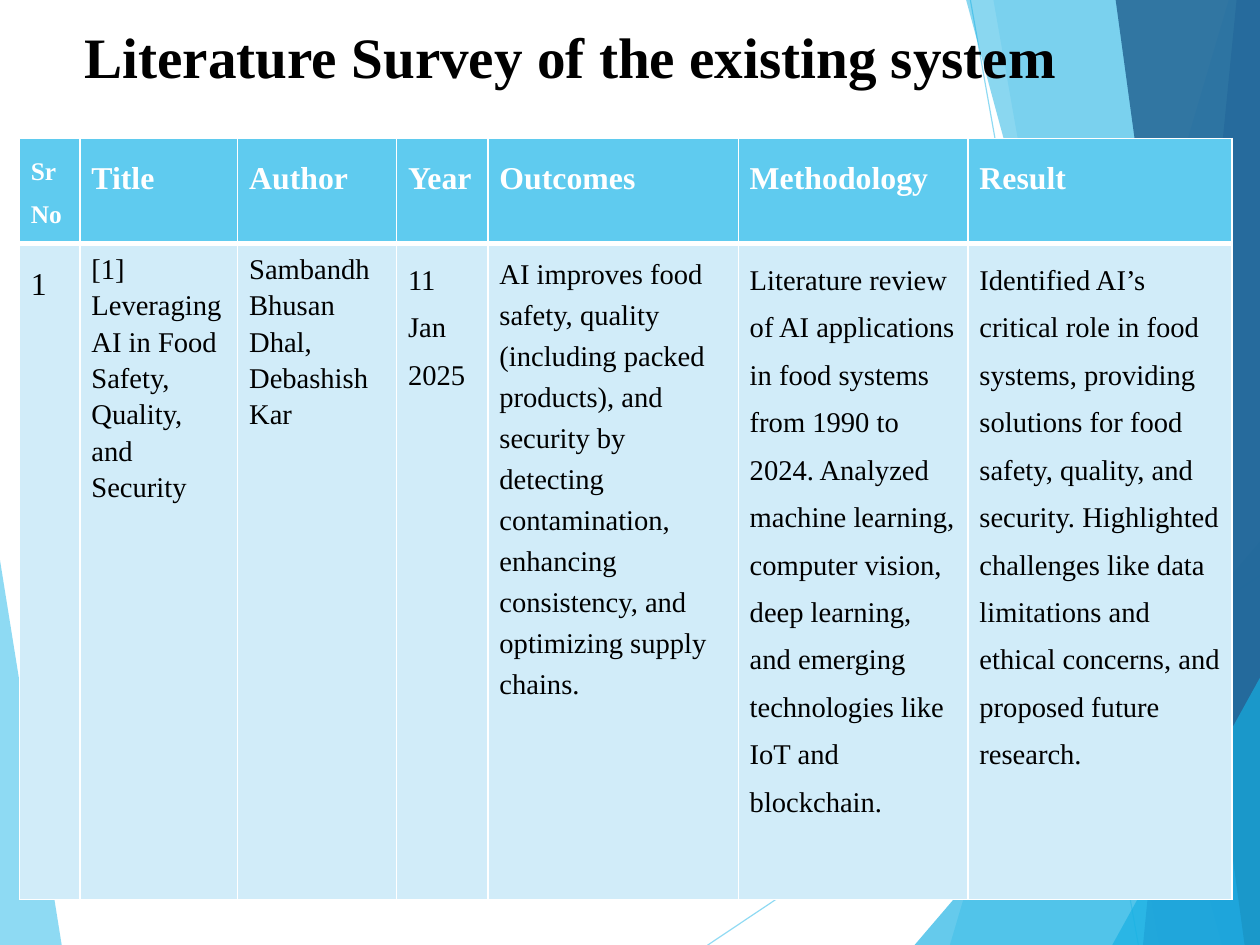
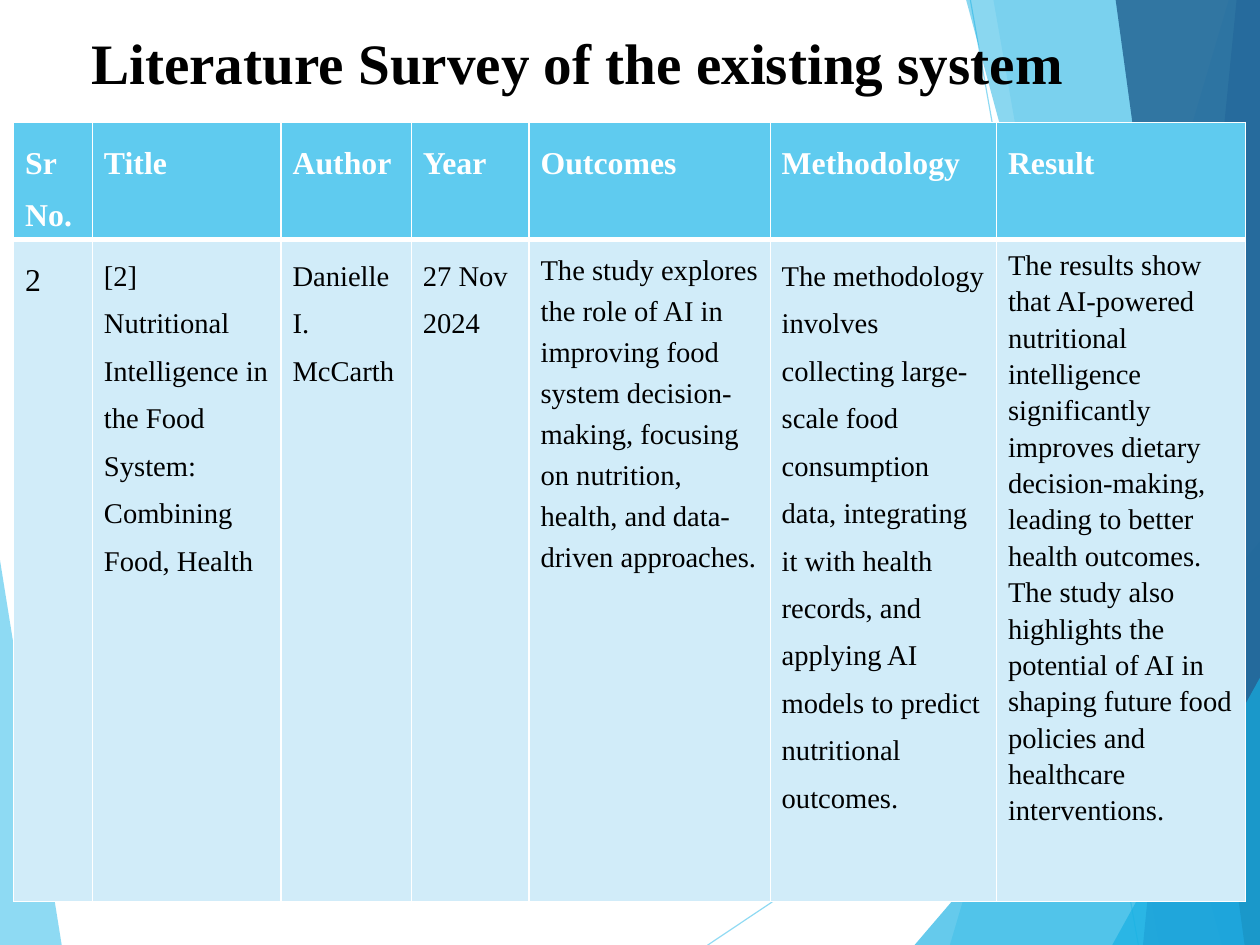
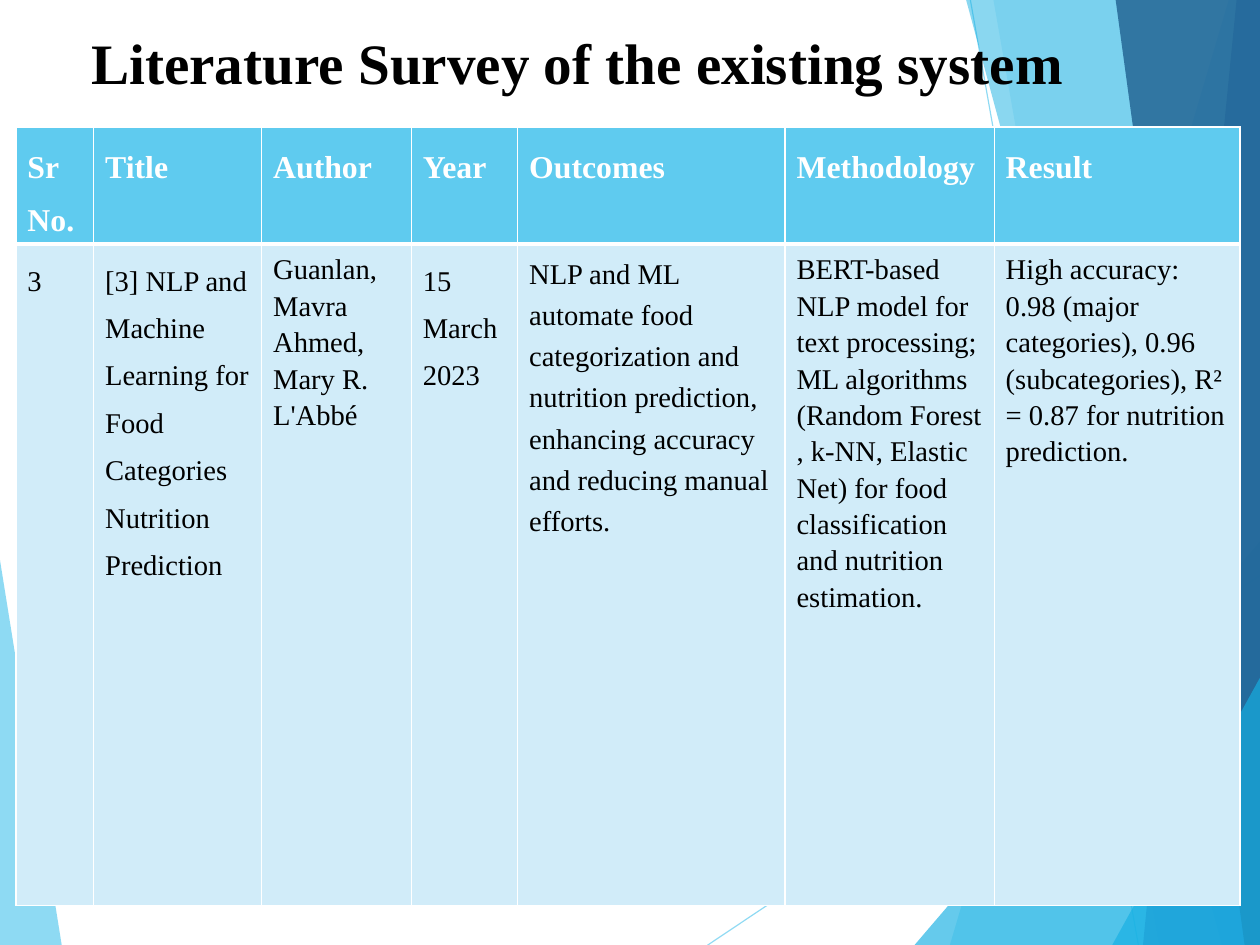
from lxml import etree
from pptx import Presentation
from pptx.dml.color import RGBColor
from pptx.enum import shapes, text
from pptx.oxml.ns import qn
from pptx.util import Inches, Pt

FONT = "Times New Roman"
BLACK, WHITE = "000000", "FFFFFF"
SKY, PALE_SKY, CYAN, BLUE, NAVY = "5FCBEF", "D1ECF9", "16B0E3", "2E83C3", "226292"
WIDTH, HEIGHT = 28 / 2.54, 21 / 2.54  # 28 by 21 cm
LEFT, RIGHT, TOP, BOTTOM = -0.01, 11.03, -0.01, 8.27  # backdrop bleeds past the edges

HEADING = "Literature Survey of the existing system"
COLUMNS = ["Title", "Author", "Year", "Outcomes", "Methodology", "Result"]

# Facets of the backdrop: colour, opacity in percent, corners
FACETS = [
    (SKY, 70, [(LEFT, 4.84), (0.54, BOTTOM), (LEFT, BOTTOM)]),
    (SKY, 36, [(10.75, 0), (8.31, BOTTOM), (RIGHT, BOTTOM), (RIGHT, 0)]),
    (SKY, 20, [(8.69, TOP), (10.14, BOTTOM), (RIGHT, BOTTOM), (RIGHT, TOP)]),
    (CYAN, 66, [(8, BOTTOM), (RIGHT, 4.73), (RIGHT, BOTTOM)]),
    (CYAN, 50, [(8.45, TOP), (10.69, BOTTOM), (RIGHT, BOTTOM), (RIGHT, TOP)]),
    (BLUE, 70, [(10.82, TOP), (10, BOTTOM), (RIGHT, BOTTOM), (RIGHT, TOP)]),
    (NAVY, 82, [(9.76, TOP), (10.89, BOTTOM), (RIGHT, BOTTOM), (RIGHT, TOP)]),
    (CYAN, 66, [(9.73, BOTTOM), (11.04, 5.9), (11.04, BOTTOM)]),
]
RAYS = [((6.19, BOTTOM), (RIGHT, 5.03)), ((8.49, 0), (9.96, BOTTOM))]

# Each paper's entries are pairs of text and line spacing
SURVEYS = [
    {
        "title_box": (0.49, 0, 9.92, 1.01),
        "table_at": (0.17, 1.21),
        "widths": [0.53, 1.38, 1.39, 0.8, 2.19, 2.01, 2.31],
        "heights": [0.92, 5.74],
        "number_label": ("Sr\nNo", 16),
        "number": ("1", 20),
        "paper": [
            ("[1] Leveraging AI in Food Safety, Quality, and Security", 1.15),
            ("Sambandh Bhusan Dhal, Debashish Kar", 1.15),
            ("11 Jan 2025", 1.5),
            ("AI improves food safety, quality (including packed products), and security by "
             "detecting contamination, enhancing consistency, and optimizing supply chains.", 1.3),
            ("Literature review of AI applications in food systems from 1990 to 2024. Analyzed "
             "machine learning, computer vision, deep learning, and emerging technologies like "
             "IoT and blockchain.", 1.5),
            ("Identified AI’s critical role in food systems, providing solutions for food safety, "
             "quality, and security. Highlighted challenges like data limitations and ethical "
             "concerns, and proposed future research.", 1.5),
        ],
    },
    {
        "title_box": (0.55, 0.15, 9.92, 0.81),
        "table_at": (0.12, 1.07),
        "widths": [0.69, 1.65, 1.14, 1.03, 2.11, 1.98, 2.18],
        "heights": [0.94, 5.79],
        "number_label": ("Sr No.", 20),
        "number": ("2", 20),
        "paper": [
            ("[2] Nutritional Intelligence in the Food System: Combining Food, Health", 1.5),
            ("Danielle I. McCarth", 1.5),
            ("27 Nov 2024", 1.5),
            ("The study explores the role of AI in improving food system decision-making, "
             "focusing on nutrition, health, and data-driven approaches.", 1.3),
            ("The methodology involves collecting large-scale food consumption data, integrating "
             "it with health records, and applying AI models to predict nutritional outcomes.", 1.5),
            ("The results show that AI-powered nutritional intelligence significantly improves "
             "dietary decision-making, leading to better health outcomes. The study also "
             "highlights the potential of AI in shaping future food policies and healthcare "
             "interventions.", 1.15),
        ],
    },
    {
        "title_box": (0.55, 0.15, 9.92, 0.81),
        "table_at": (0.14, 1.11),
        "widths": [0.68, 1.47, 1.31, 0.93, 2.34, 1.83, 2.15],
        "heights": [1, 5.79],
        "number_label": ("Sr No.", 20),
        "number": ("3", 18),
        "paper": [
            ("[3] NLP and Machine Learning for Food Categories Nutrition Prediction", 1.5),
            ("Guanlan, Mavra Ahmed, Mary R. L'Abbé", 1.15),
            ("15 March 2023", 1.5),
            ("NLP and ML automate food categorization and nutrition prediction, enhancing "
             "accuracy and reducing manual efforts.", 1.3),
            ("BERT-based NLP model for text processing; ML algorithms (Random Forest , k-NN, "
             "Elastic Net) for food classification and nutrition estimation.", 1.15),
            ("High accuracy: 0.98 (major categories), 0.96 (subcategories), R² = 0.87 for "
             "nutrition prediction.", 1.15),
        ],
    },
]


def paint(fill, color, owner=None, opacity=100):
    """Make a fill solid; opacity applies to every colour inside the owner shape."""
    fill.solid()
    fill.fore_color.rgb = RGBColor.from_string(color)
    if owner is not None:
        for tint in owner.element.iter(qn("a:srgbClr")):
            etree.SubElement(tint, qn("a:alpha"), val=str(opacity * 1000))


def write(frame, content, size, color, bold, spacing):
    frame.text = content
    for paragraph in frame.paragraphs:
        paragraph.alignment = text.PP_ALIGN.LEFT
        paragraph.line_spacing = spacing
        paragraph.font.name = FONT
        paragraph.font.size = Pt(size)
        paragraph.font.bold = bold
        paint(paragraph.font.fill, color)


deck = Presentation()
deck.slide_width, deck.slide_height = Inches(WIDTH), Inches(HEIGHT)
layout = deck.slide_layouts.get_by_name("Title Only")
slides = [deck.slides.add_slide(layout) for _ in SURVEYS]

# Only slides can build outlines, so the backdrop is drawn there and moved to the layout
canvas = slides[0].shapes
backdrop = []
for start, end in RAYS:
    ray = canvas.add_connector(shapes.MSO_CONNECTOR.STRAIGHT, *map(Inches, start + end))
    ray.line.width = Pt(0.75)
    paint(ray.line.fill, SKY, ray, 70)
    etree.SubElement(ray.element.spPr, qn("a:effectLst"))
    backdrop.append(ray)
for color, opacity, corners in FACETS:
    points = [(Inches(x), Inches(y)) for x, y in corners]
    outline = canvas.build_freeform(*points[0])
    outline.add_line_segments(points[1:], close=True)
    facet = outline.convert_to_shape()
    facet.shadow.inherit = False
    facet.line.fill.background()
    paint(facet.fill, color, facet, opacity)
    backdrop.append(facet)
for piece in backdrop:
    layout.shapes.element.append(piece.element)

for slide, survey in zip(slides, SURVEYS):
    title = slide.shapes.title
    title.left, title.top, title.width, title.height = map(Inches, survey["title_box"])
    frame = title.text_frame
    write(frame, HEADING, 36, BLACK, True, 0.93)
    frame.auto_size = text.MSO_AUTO_SIZE.NONE
    frame.vertical_anchor = text.MSO_ANCHOR.MIDDLE
    frame.margin_left, frame.margin_top = Inches(0.25), Inches(0.03)
    frame.margin_right = frame.margin_bottom = 0

    widths, heights = survey["widths"], survey["heights"]
    grid = slide.shapes.add_table(
        len(heights), len(widths), *map(Inches, survey["table_at"]),
        Inches(sum(widths)), Inches(sum(heights)))
    table = grid.table
    table.horz_banding = False
    for column, width in zip(table.columns, widths):
        column.width = Inches(width)
    for row, height in zip(table.rows, heights):
        row.height = Inches(height)

    label, label_size = survey["number_label"]
    number, number_size = survey["number"]
    header = [(label, label_size, 1.5)] + [(name, 20, 1.5) for name in COLUMNS]
    entry = [(number, number_size, 1.5)] + [(note, 18, gap) for note, gap in survey["paper"]]
    for row, contents, shade, ink, bold in (
            (table.rows[0], header, SKY, WHITE, True),
            (table.rows[1], entry, PALE_SKY, BLACK, False)):
        for cell, (content, size, spacing) in zip(row.cells, contents):
            paint(cell.fill, shade)
            write(cell.text_frame, content, size, ink, bold, spacing)

    # White rules, with a thicker one under the header
    for index, properties in enumerate(grid.element.iter(qn("a:tcPr"))):
        in_header = index < len(widths)
        for place, side in enumerate(("lnL", "lnR", "lnT", "lnB")):
            weight = 3 if in_header and side == "lnB" else 1
            rule = etree.Element(qn("a:" + side), w=str(Pt(weight)))
            solid = etree.SubElement(rule, qn("a:solidFill"))
            etree.SubElement(solid, qn("a:srgbClr"), val=WHITE)
            properties.insert(place, rule)

deck.save("out.pptx")
